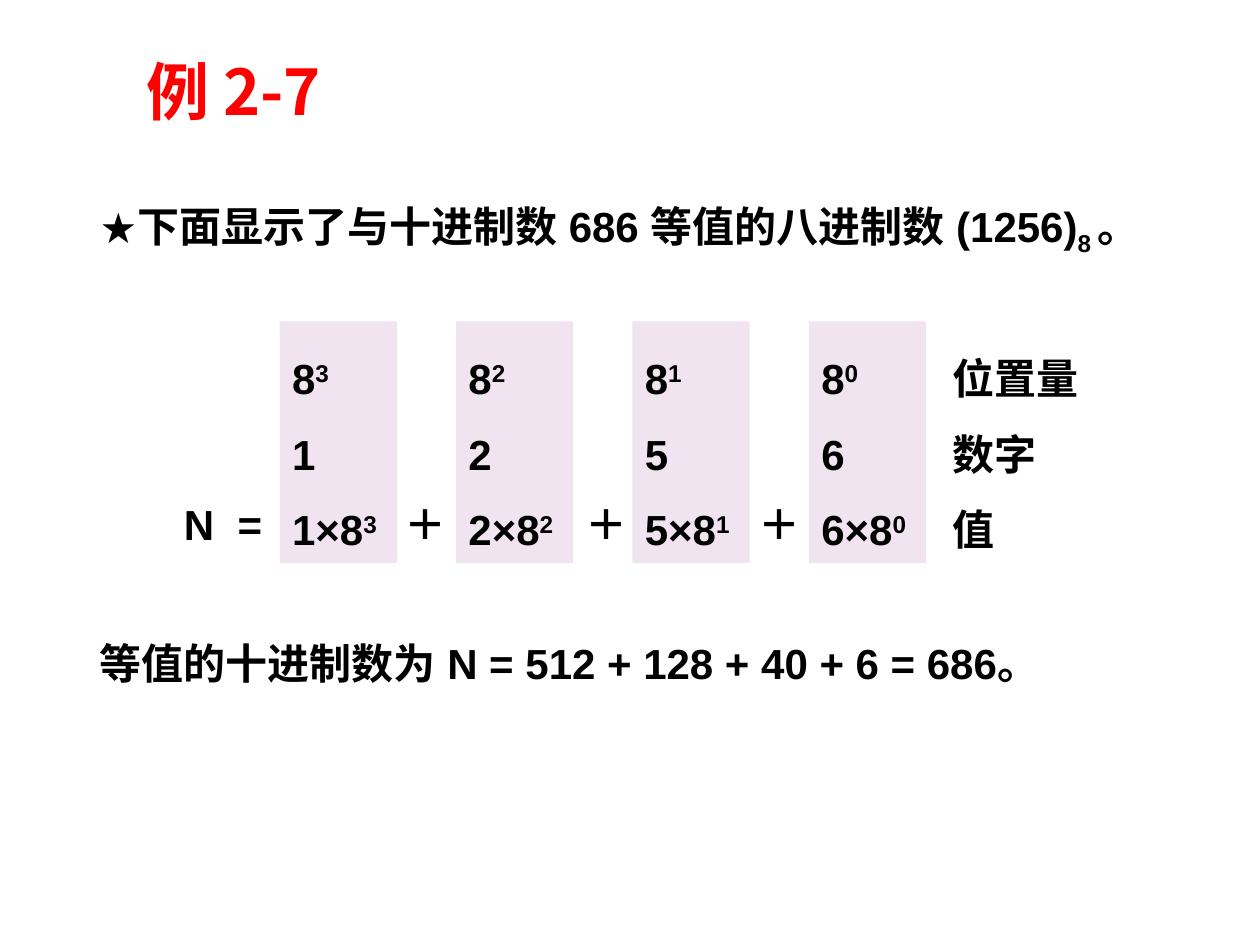
from lxml.etree import SubElement
from pptx import Presentation
from pptx.dml.color import RGBColor
from pptx.enum.shapes import MSO_SHAPE as Shape
from pptx.enum.text import MSO_ANCHOR as Anchor, MSO_AUTO_SIZE as AutoSize, PP_ALIGN as Align
from pptx.oxml.ns import qn
from pptx.util import Inches, Pt

BASE_FONT = {"name": "Arial", "size": Pt(24), "bold": True}
PLUS_FONT = {**BASE_FONT, "name": "Calibri"}
TITLE_FONT = {**BASE_FONT, "name": "Noto Sans CJK SC", "size": Pt(36)}
BLACK, RED, LILAC = "000000", "FF0000", "EFE4F0"
SUB, SUPER = -25000, 30000

DIGITS = "1256"
COLUMN_LEFT, COLUMN_STEP, COLUMN_WIDTH = 2.22, 1.4, 0.93
TABLE_TOP, TABLE_HEIGHT = 2.55, 1.92
SIGN_TOP, SIGN_HEIGHT = 3.91, 0.5


def paint(color_format, hex_color):
    color_format.rgb = RGBColor.from_string(hex_color)


def apply(target, values):
    for name, value in values.items():
        setattr(target, name, value)


def place(holder, left, top, width, height):
    box = dict(left=left, top=top, width=width, height=height)
    apply(holder, {side: Inches(length) for side, length in box.items()})


def add_run(paragraph, text, font=BASE_FONT, color=BLACK, baseline=0):
    run = paragraph.add_run()
    run.text = text
    apply(run.font, font)
    paint(run.font.color, color)
    SubElement(run.font._element, qn("a:ea"), typeface=font["name"])
    if baseline:
        run.font._element.set("baseline", str(baseline))


def write_lines(frame, lines, font=BASE_FONT, color=BLACK, **paragraph_format):
    """Each line is a list of (text, baseline) pieces."""
    for index, pieces in enumerate(lines):
        paragraph = frame.add_paragraph() if index else frame.paragraphs[0]
        apply(paragraph, paragraph_format)
        for text, baseline in pieces:
            add_run(paragraph, text, font, color, baseline)


def set_bullet(paragraph, char=None, indent=0):
    properties = paragraph._p.get_or_add_pPr()
    properties.set("marL", str(Inches(indent)))
    properties.set("indent", str(-Inches(indent)))
    if char:
        SubElement(properties, qn("a:buChar"), char=char)
    else:
        SubElement(properties, qn("a:buNone"))


def add_label(slide, box, lines, wrap=False, font=BASE_FONT, **paragraph_format):
    frame = slide.shapes.add_textbox(*map(Inches, box)).text_frame
    apply(frame, {"word_wrap": wrap, "auto_size": AutoSize.SHAPE_TO_FIT_TEXT})
    write_lines(frame, [[(line, 0)] for line in lines], font, **paragraph_format)


def add_digit_column(slide, left, digit, power):
    column = slide.shapes.add_shape(
        Shape.RECTANGLE, *map(Inches, (left, TABLE_TOP, COLUMN_WIDTH, TABLE_HEIGHT)))
    column.shadow.inherit = False
    column.fill.solid()
    paint(column.fill.fore_color, LILAC)
    column.line.fill.background()
    apply(column.text_frame, {"word_wrap": False, "vertical_anchor": Anchor.TOP,
                              "auto_size": AutoSize.SHAPE_TO_FIT_TEXT})
    exponent = (str(power), SUPER)
    lines = [[("8", 0), exponent], [(digit, 0)], [(f"{digit}×8", 0), exponent]]
    write_lines(column.text_frame, lines, line_spacing=1.5, alignment=Align.LEFT)


def fill_title(title):
    place(title, 1.06, 0.43, 7.87, 0.65)
    apply(title.text_frame, {"vertical_anchor": Anchor.MIDDLE, "auto_size": AutoSize.NONE})
    write_lines(title.text_frame, [[("例 2-7", 0)]], TITLE_FONT, RED,
                line_spacing=0.9, alignment=Align.LEFT)


def fill_body(body):
    place(body, 0.69, 1.54, 8.62, 5.21)
    frame = body.text_frame
    frame.auto_size = AutoSize.NONE
    statement = [("下面显示了与十进制数 686 等值的八进制数 (1256)", 0), ("8 ", SUB), ("。", 0)]
    conclusion = [("等值的十进制数为 N = 512 + 128 + 40 + 6 = 686。", 0)]
    write_lines(frame, [statement, conclusion], space_before=Pt(0), space_after=Pt(12))
    first, last = frame.paragraphs
    last.space_before = Pt(205)  # room for the digit columns
    set_bullet(first, "★", 0.25)
    set_bullet(last)


def main():
    deck = Presentation()
    apply(deck, {"slide_width": Inches(10), "slide_height": Inches(7.5)})
    slide = deck.slides.add_slide(deck.slide_layouts[1])

    # Title, statement and conclusion
    fill_title(slide.shapes.title)
    fill_body(slide.placeholders[1])

    # One column per octal digit
    for index, digit in enumerate(DIGITS):
        add_digit_column(slide, COLUMN_LEFT + index * COLUMN_STEP, digit,
                         len(DIGITS) - 1 - index)

    # Signs between the columns
    for left, width, wrap in ((3.11, 0.54, False), (4.55, 0.45, True), (5.92, 0.54, False)):
        add_label(slide, (left, SIGN_TOP, width, SIGN_HEIGHT), ["＋"], wrap, PLUS_FONT,
                  alignment=Align.CENTER)

    # Row labels
    add_label(slide, (1.33, SIGN_TOP, 0.88, SIGN_HEIGHT), ["N  ="], alignment=Align.CENTER)
    add_label(slide, (7.46, TABLE_TOP, 1.21, TABLE_HEIGHT), ["位置量", "数字", "值"],
              line_spacing=1.5)

    deck.save("out.pptx")


if __name__ == "__main__":
    main()
